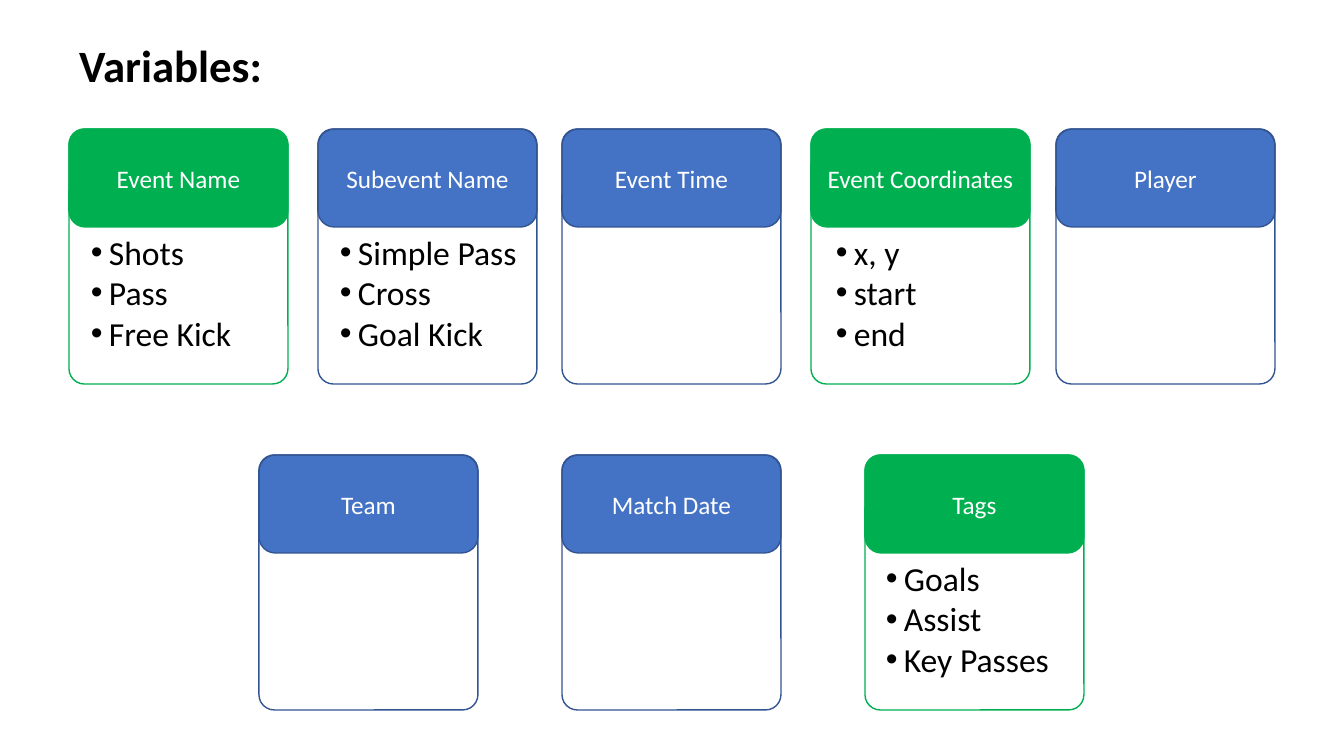
"""Builds the slide that shows the match variables as labelled cards."""
from lxml import etree
from pptx import Presentation
from pptx.dml.color import RGBColor
from pptx.enum.shapes import MSO_SHAPE
from pptx.enum.text import MSO_ANCHOR, MSO_AUTO_SIZE, PP_ALIGN
from pptx.oxml.ns import qn
from pptx.util import Pt

ROUNDED = MSO_SHAPE.ROUNDED_RECTANGLE
MIDDLE = MSO_ANCHOR.MIDDLE
FIT_SHAPE = MSO_AUTO_SIZE.SHAPE_TO_FIT_TEXT
LEFT, CENTER = PP_ALIGN.LEFT, PP_ALIGN.CENTER

EMU_PER_PX = 914400 / 100.8
FONT = "Calibri"
COLORS = {
    "green": "00B050",
    "blue": "4472C4",
    "blue edge": "325491",
    "white": "FFFFFF",
    "black": "000000",
}
EDGES = {"green": "green", "blue": "blue edge"}

CARD_WIDTH, CARD_HEIGHT, HEADER_HEIGHT = 219, 255, 98
TOP_ROW, BOTTOM_ROW = 129, 455
BOTTOM_LEFT, BOTTOM_STEP = 259, 303

CARDS = [
    (69, TOP_ROW, "Event Name", "green"),
    (318, TOP_ROW, "Subevent Name", "blue"),
    (562, TOP_ROW, "Event Time", "blue"),
    (811, TOP_ROW, "Event Coordinates", "green"),
    (1056, TOP_ROW, "Player", "blue"),
] + [
    (BOTTOM_LEFT + index * BOTTOM_STEP, BOTTOM_ROW, name, color)
    for index, (name, color) in enumerate(
        [("Team", "blue"), ("Match Date", "blue"), ("Tags", "green")])
]
EXAMPLES = [
    (81, TOP_ROW, 162, ["Shots", "Pass", "Free Kick"]),
    (330, TOP_ROW, 198, ["Simple Pass", "Cross", "Goal Kick"]),
    (826, TOP_ROW, 102, ["x, y", "start", "end"]),
    (876, BOTTOM_ROW, 185, ["Goals", "Assist", "Key Passes"]),
]


def px(value):
    return round(value * EMU_PER_PX)


def rgb(name):
    return RGBColor.from_string(COLORS[name])


class VariablesSlide:
    def __init__(self, presentation):
        self.slide = presentation.slides.add_slide(presentation.slide_layouts[5])

    def style(self, paragraph, size, color, alignment=LEFT, bold=False):
        paragraph.alignment = alignment
        font = paragraph.font
        font.name, font.size, font.bold = FONT, Pt(size), bold
        font.color.rgb = rgb(color)

    def title(self, text, left, top, width, height):
        shape = self.slide.shapes.title
        shape.left, shape.top = px(left), px(top)
        shape.width, shape.height = px(width), px(height)
        frame = shape.text_frame
        frame.text = text
        frame.word_wrap = False
        frame.auto_size = FIT_SHAPE
        self.style(frame.paragraphs[0], 32, "black", bold=True)

    def rounded_box(self, left, top, height, edge):
        shape = self.slide.shapes.add_shape(
            ROUNDED, px(left), px(top), px(CARD_WIDTH), px(height))
        shape.shadow.inherit = False
        shape.line.color.rgb = rgb(edge)
        shape.line.width = Pt(1)
        return shape

    def header(self, left, top, text, color):
        shape = self.rounded_box(left, top, HEADER_HEIGHT, EDGES[color])
        shape.fill.solid()
        shape.fill.fore_color.rgb = rgb(color)
        frame = shape.text_frame
        frame.text = text
        frame.word_wrap = True
        frame.vertical_anchor = MIDDLE
        frame.margin_left = frame.margin_right = 0
        self.style(frame.paragraphs[0], 18, "white", CENTER)

    def outline(self, left, top, color):
        shape = self.rounded_box(left, top, CARD_HEIGHT, EDGES[color])
        shape.adjustments[0] = 0.07
        shape.fill.background()

    def bullet_list(self, left, top, width, items):
        shape = self.slide.shapes.add_textbox(px(left), px(top), px(width), px(132))
        frame = shape.text_frame
        frame.text = "\n".join(items)
        frame.word_wrap = False
        frame.auto_size = FIT_SHAPE
        for paragraph in frame.paragraphs:
            self.style(paragraph, 24, "black")
            properties = paragraph._p.get_or_add_pPr()
            properties.set("marL", str(px(18)))
            properties.set("indent", str(-px(18)))
            bullet_font = etree.Element(qn("a:buFont"), typeface="Arial")
            bullet = etree.Element(qn("a:buChar"), char="•")
            properties.insert(0, bullet_font)
            properties.insert(1, bullet)


def main():
    presentation = Presentation()
    presentation.slide_width, presentation.slide_height = px(1344), px(756)
    variables = VariablesSlide(presentation)
    variables.title("Variables:", 69, 32, 205, 65)
    for left, top, name, color in CARDS:
        variables.header(left, top, name, color)
    for left, top, _, color in CARDS:
        variables.outline(left, top, color)
    for left, card_top, width, items in EXAMPLES:
        variables.bullet_list(left, card_top + HEADER_HEIGHT, width, items)
    presentation.save("out.pptx")


if __name__ == "__main__":
    main()
